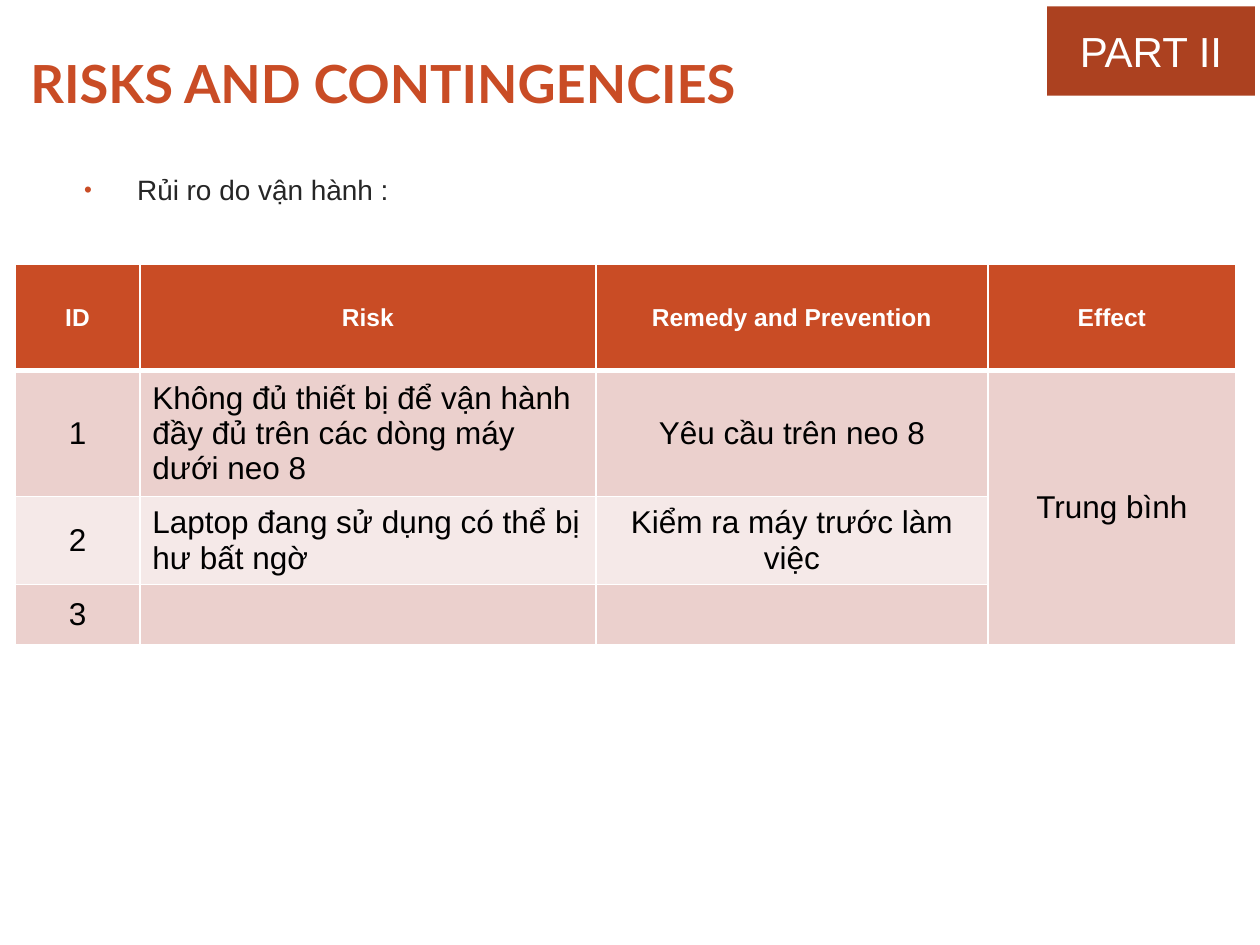
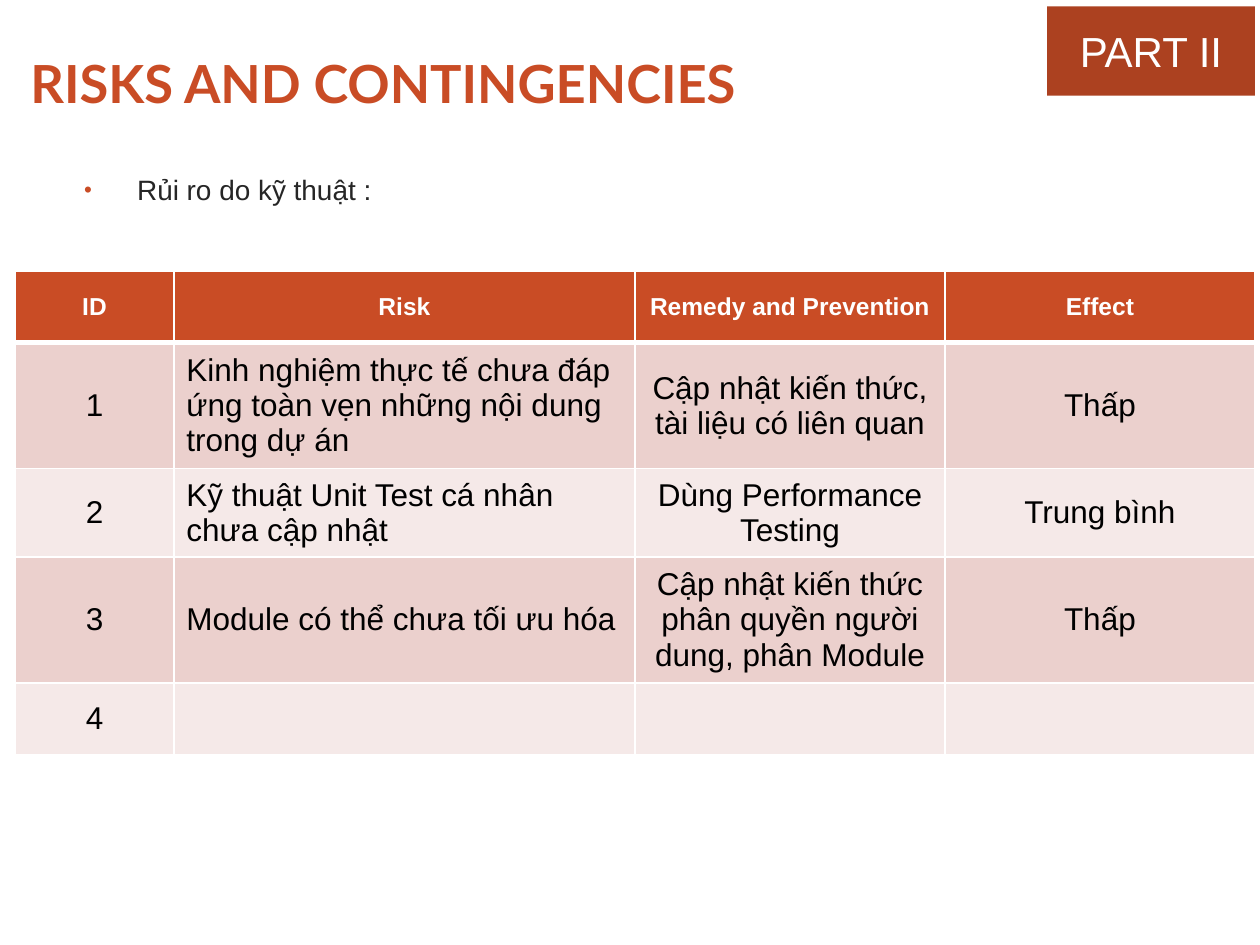
import pptx
import pptx.util
import pptx.dml.color
import pptx.enum.shapes
import pptx.enum.text
import pptx.oxml
import pptx.oxml.ns

Inches = pptx.util.Inches
Pt = pptx.util.Pt
ALIGN = pptx.enum.text.PP_ALIGN
ANCHOR = pptx.enum.text.MSO_ANCHOR

COLORS = {
    "accent": "C94C25",
    "badge": "AC4120",
    "body": "262626",
    "band_dark": "EBD0CD",
    "band_light": "F5E9E8",
    "white": "FFFFFF",
    "black": "000000",
}
HEADERS = ["ID", "Risk", "Remedy and Prevention", "Effect"]
TITLE_BOX = (0.04, 0.36, 6.22, 0.59)
BADGE_BOX = (8.31, 0.05, 1.65, 0.71)
TOPIC_BOX = (0.5, 1.32, 8.45, 0.46)

SLIDES = [
    {
        "topic": "Rủi ro do vận hành :",
        "origin": (0.12, 2.1),
        "cols": [0.99, 3.62, 3.11, 1.97],
        "heights": [0.84, 0.94, 0.66, 0.48],
        "rows": [
            ["1", "Không đủ thiết bị để vận hành đầy đủ trên các dòng máy dưới neo 8",
             "Yêu cầu trên neo 8", "Trung bình"],
            ["2", "Laptop đang sử dụng có thể bị hư bất ngờ",
             "Kiểm ra máy trước làm việc", ""],
            ["3", "", "", ""],
        ],
        "merge": ((1, 3), (3, 3)),
    },
    {
        "topic": "Rủi ro do kỹ thuật :",
        "origin": (0.12, 2.15),
        "cols": [1.26, 3.66, 2.46, 2.46],
        "heights": [0.57, 0.94, 0.66, 0.94, 0.57],
        "rows": [
            ["1", "Kinh nghiệm thực tế chưa đáp ứng toàn vẹn những nội dung trong dự án",
             "Cập nhật kiến thức, tài liệu có liên quan", "Thấp"],
            ["2", "Kỹ thuật Unit Test cá nhân chưa cập nhật",
             "Dùng Performance Testing", "Trung bình"],
            ["3", "Module có thể chưa tối ưu hóa",
             "Cập nhật kiến thức phân quyền người dung, phân Module", "Thấp"],
            ["4", "", "", ""],
        ],
        "merge": None,
    },
]


def rgb(name):
    """Return the palette colour of that name."""
    return pptx.dml.color.RGBColor.from_string(COLORS[name])


def add_xml(parent, xml):
    """Append a DrawingML element to its parent."""
    ns = pptx.oxml.ns.nsdecls("a")
    parent.append(pptx.oxml.parse_xml(xml.replace("/>", f" {ns}/>", 1) if xml.count("<") == 1
                                      else xml.replace(">", f" {ns}>", 1)))


def write(tf, text, size=18, color="black", font="Arial", bold=False, align=ALIGN.LEFT):
    """Write one formatted paragraph and return it."""
    p = tf.paragraphs[0]
    p.alignment = align
    r = p.add_run()
    r.text = text
    r.font.size = Pt(size)
    r.font.name = font
    r.font.bold = bold
    r.font.color.rgb = rgb(color)
    return p


def set_indent(p, left, first=0):
    """Set the left margin and first-line indent of a paragraph."""
    pPr = p._p.get_or_add_pPr()
    pPr.set("marL", str(Inches(left)))
    pPr.set("indent", str(Inches(first)))
    return pPr


def add_title(s, box):
    """Place and format the slide title."""
    sp = s.shapes.title
    sp.left, sp.top, sp.width, sp.height = map(Inches, box)
    tf = sp.text_frame
    tf.word_wrap = True
    tf.auto_size = pptx.enum.text.MSO_AUTO_SIZE.NONE
    tf.vertical_anchor = ANCHOR.MIDDLE
    tf.margin_left = tf.margin_right = 0
    p = write(tf, "RISKS AND CONTINGENCIES", size=30, color="accent", font="Lato", bold=True)
    set_indent(p, 0.2)


def add_badge(s, box):
    """Add the part marker."""
    sp = s.shapes.add_shape(pptx.enum.shapes.MSO_SHAPE.RECTANGLE, *map(Inches, box))
    sp.shadow.inherit = False
    sp.fill.solid()
    sp.fill.fore_color.rgb = rgb("badge")
    sp.line.fill.background()
    sp.text_frame.vertical_anchor = ANCHOR.MIDDLE
    write(sp.text_frame, "PART II", size=24, color="white", align=ALIGN.CENTER)


def add_topic(s, box, text):
    """Add the bulleted topic line."""
    tf = s.shapes.add_textbox(*map(Inches, box)).text_frame
    tf.word_wrap = True
    p = write(tf, text, size=16, color="body")
    p.space_before, p.space_after = Pt(3), Pt(10)
    pPr = set_indent(p, 0.49, -0.42)
    add_xml(pPr, f'<a:buClr><a:srgbClr val="{COLORS["accent"]}"/></a:buClr>')
    add_xml(pPr, '<a:buSzPct val="80000"/>')
    add_xml(pPr, '<a:buFont typeface="Arial"/>')
    add_xml(pPr, '<a:buChar char="•"/>')


def style_cell(cell, row, col, text):
    """Format a table cell by its row and column."""
    header = row == 0
    widths = {"L": 1, "R": 1, "T": 3 if row == 1 else 1, "B": 3 if header else 1}
    for side, width in widths.items():
        add_xml(cell._tc.get_or_add_tcPr(),
                f'<a:ln{side} w="{Pt(width)}"><a:solidFill>'
                f'<a:srgbClr val="{COLORS["white"]}"/></a:solidFill></a:ln{side}>')
    cell.fill.solid()
    cell.fill.fore_color.rgb = rgb("accent" if header else "band_dark" if row % 2 else "band_light")
    cell.vertical_anchor = ANCHOR.MIDDLE
    if text:
        write(cell.text_frame, text, size=14 if header else 18, bold=header,
              color="white" if header else "black",
              align=ALIGN.LEFT if col == 1 and not header else ALIGN.CENTER)


def add_risk_table(s, origin, cols, heights, rows, merge):
    """Add the risk table with its top left corner at origin."""
    box = (*origin, sum(cols), sum(heights))
    table = s.shapes.add_table(len(heights), len(cols), *map(Inches, box)).table
    for column, width in zip(table.columns, cols):
        column.width = Inches(width)
    for row, height in zip(table.rows, heights):
        row.height = Inches(height)
    for i, texts in enumerate([HEADERS] + rows):
        for j, text in enumerate(texts):
            style_cell(table.cell(i, j), i, j, text)
    if merge:
        first, last = merge
        table.cell(*first).merge(table.cell(*last))


def add_risk_slide(prs, topic, **table):
    """Add one slide with title, part marker, topic and risk table."""
    s = prs.slides.add_slide(prs.slide_layouts[5])
    add_title(s, TITLE_BOX)
    add_badge(s, BADGE_BOX)
    add_topic(s, TOPIC_BOX, topic)
    add_risk_table(s, **table)


def main():
    """Build and save the presentation."""
    prs = pptx.Presentation()
    prs.slide_width, prs.slide_height = Inches(10), Inches(7.5)
    for content in SLIDES:
        add_risk_slide(prs, **content)
    prs.save("out.pptx")


if __name__ == "__main__":
    main()
